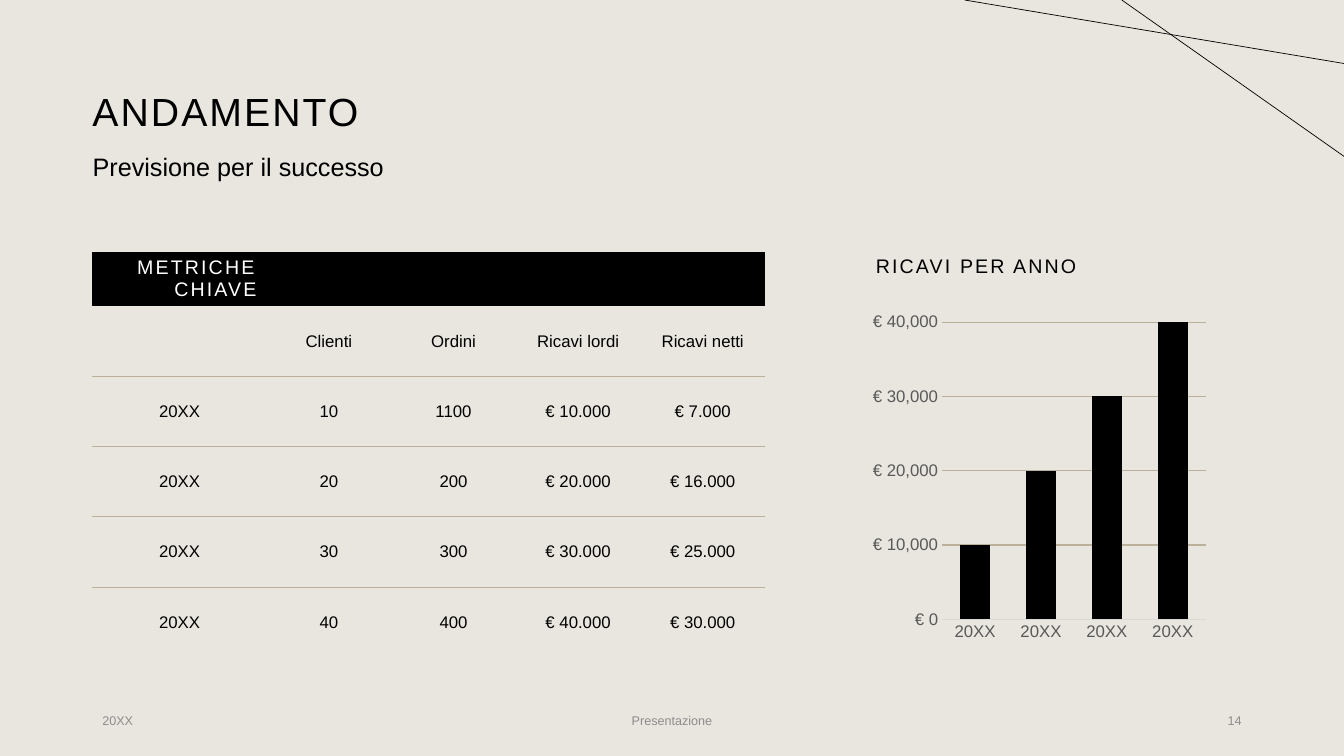
from lxml.etree import SubElement
from pptx import Presentation
from pptx.chart.data import CategoryChartData
from pptx.dml.color import RGBColor
from pptx.enum.chart import XL_CHART_TYPE as ChartType, XL_TICK_MARK as TickMark
from pptx.enum.shapes import MSO_CONNECTOR as Connector
from pptx.enum.text import MSO_ANCHOR as Anchor, MSO_AUTO_SIZE as AutoSize, PP_ALIGN as Align
from pptx.oxml.ns import qn
from pptx.util import Cm, Pt

BACKGROUND = RGBColor(0xE9, 0xE6, 0xDF)
BLACK = RGBColor(0x00, 0x00, 0x00)
WHITE = RGBColor(0xFF, 0xFF, 0xFF)
SAND = RGBColor(0xBB, 0xB1, 0x9B)
FOOTER_GREY = RGBColor(0x8C, 0x8C, 0x8C)
LABEL_GREY = RGBColor(0x59, 0x59, 0x59)
AXIS_GREY = RGBColor(0xD9, 0xD9, 0xD9)

FONT = "Arial"
PLAIN_TABLE = "{2D5ABB26-0587-4C30-8999-92F81FD0307C}"
COLUMN_WIDTHS = [4.39, 3.14, 3.14, 3.14, 3.14]
ROW_HEIGHTS = [1.35] + [1.77] * 5
METRICS = [
    ["METRICHE CHIAVE", "", "", "", ""],
    ["", "Clienti", "Ordini", "Ricavi lordi", "Ricavi netti"],
    ["20XX", "10", "1100", "€ 10.000", "€ 7.000"],
    ["20XX", "20", "200", "€ 20.000", "€ 16.000"],
    ["20XX", "30", "300", "€ 30.000", "€ 25.000"],
    ["20XX", "40", "400", "€ 40.000", "€ 30.000"],
]
REVENUES = [10000, 20000, 30000, 40000]


def set_all(target, values):
    for name, value in values.items():
        setattr(target, name, value)


def style_font(font, size, color):
    set_all(font, {"name": FONT, "size": Pt(size), "bold": False})
    font.color.rgb = color


def write(frame, text, size, color, align=Align.LEFT, tracking=0, **spacing):
    para = frame.paragraphs[0]
    set_all(para, {"alignment": align, **spacing})
    span = para.add_run()
    span.text = text
    style_font(span.font, size, color)
    if tracking:
        span.font._element.set("spc", str(tracking))


def place(shape, left, top, width, height):
    set_all(shape, {"left": Cm(left), "top": Cm(top), "width": Cm(width), "height": Cm(height)})


def fill_placeholder(shape, bounds, text, size, tracking=0, anchor=Anchor.TOP, **format_values):
    place(shape, *bounds)
    frame = shape.text_frame
    set_all(frame, {"word_wrap": True, "auto_size": AutoSize.NONE, "vertical_anchor": anchor})
    set_all(frame, format_values)
    write(frame, text, size, BLACK, tracking=tracking, line_spacing=0.9)


def add_footer(page, left, width, text, align):
    box = page.shapes.add_textbox(Cm(left), Cm(17.65), Cm(width), Cm(1.02))
    set_all(box.text_frame, {"word_wrap": True, "vertical_anchor": Anchor.MIDDLE})
    write(box.text_frame, text, 9, FOOTER_GREY, align)


def add_line(page, *ends):
    line = page.shapes.add_connector(Connector.STRAIGHT, *map(Cm, ends))
    set_all(line.line, {"width": Pt(0.5)})
    line.line.color.rgb = BLACK
    SubElement(line._element.spPr, qn("a:effectLst"))


def underline_cell(cell):
    properties = cell._tc.get_or_add_tcPr()
    border = SubElement(properties, qn("a:lnB"), w=str(Pt(1)))
    fill = SubElement(border, qn("a:solidFill"))
    SubElement(fill, qn("a:srgbClr"), val=str(SAND))


def add_metrics(page):
    height = sum(ROW_HEIGHTS)
    frame = page.shapes.add_table(
        len(METRICS), len(COLUMN_WIDTHS), Cm(2.33), Cm(6.35), Cm(sum(COLUMN_WIDTHS)), Cm(height)
    )
    table = frame.table
    set_all(table, {"first_row": False, "horz_banding": False})
    table._tbl.tblPr.find(qn("a:tableStyleId")).text = PLAIN_TABLE
    for column, width in zip(table.columns, COLUMN_WIDTHS):
        column.width = Cm(width)
    for index, (row, row_height, texts) in enumerate(zip(table.rows, ROW_HEIGHTS, METRICS)):
        row.height = Cm(row_height)
        for cell, text in zip(row.cells, texts):
            cell.vertical_anchor = Anchor.MIDDLE
            if 0 < index < len(METRICS) - 1:
                underline_cell(cell)
            if index == 0:
                cell.fill.solid()
                cell.fill.fore_color.rgb = BLACK
            else:
                cell.fill.background()
            if text and index == 0:
                write(cell.text_frame, text, 14, WHITE, Align.RIGHT, 150)
            elif text:
                write(cell.text_frame, text, 12, BLACK, Align.CENTER)


def style_axis(axis):
    set_all(axis, {"major_tick_mark": TickMark.NONE, "minor_tick_mark": TickMark.NONE})
    style_font(axis.tick_labels.font, 12, LABEL_GREY)


def add_revenue_chart(page):
    data = CategoryChartData()
    data.categories = ["20XX"] * len(REVENUES)
    data.add_series("Series 1", REVENUES)
    chart = page.shapes.add_chart(
        ChartType.COLUMN_CLUSTERED, Cm(21.82), Cm(7.72), Cm(8.74), Cm(8.61), data
    ).chart
    set_all(chart, {"has_legend": False, "has_title": False})
    style_font(chart.font, 10, BLACK)

    plot = chart.plots[0]
    set_all(plot, {"gap_width": 118, "overlap": -3, "vary_by_categories": False})
    bars = plot.series[0].format.fill
    bars.solid()
    bars.fore_color.rgb = BLACK

    years, amounts = chart.category_axis, chart.value_axis
    style_axis(years)
    years.format.line.color.rgb = AXIS_GREY
    years.format.line.width = Pt(0.75)

    style_axis(amounts)
    set_all(amounts, {"minimum_scale": 0, "maximum_scale": 40000, "major_unit": 10000})
    set_all(amounts.tick_labels, {"number_format": '"€"\\ #,##0', "number_format_is_linked": False})
    amounts.format.line.fill.background()
    grid = amounts.major_gridlines.format.line
    grid.color.rgb = SAND
    grid.width = Pt(0.75)


def main():
    deck = Presentation()
    set_all(deck, {"slide_width": Cm(33.87), "slide_height": Cm(19.05)})
    page = deck.slides.add_slide(deck.slide_layouts.get_by_name("Comparison"))
    page.background.fill.solid()
    page.background.fill.fore_color.rgb = BACKGROUND

    title, subtitle, table_slot, chart_heading, chart_slot = page.placeholders
    for slot in (table_slot, chart_slot):
        slot._element.getparent().remove(slot._element)
    fill_placeholder(title, (2.33, 1.02, 29.21, 3.68), "ANDAMENTO", 28, 150, Anchor.MIDDLE, margin_left=0)
    fill_placeholder(subtitle, (2.08, 3.78, 18.8, 1.37), "Previsione per il successo", 18)
    fill_placeholder(chart_heading, (21.82, 6.35, 8.74, 0.86), "RICAVI PER ANNO", 14, 150)

    add_metrics(page)
    add_revenue_chart(page)
    add_footer(page, 2.33, 7.62, "20XX", Align.LEFT)
    add_footer(page, 11.22, 11.43, "Presentazione", Align.CENTER)
    add_footer(page, 23.92, 7.62, "14", Align.RIGHT)
    add_line(page, 28.27, 0, 33.87, 3.94)
    add_line(page, 24.31, 0, 33.87, 1.6)
    deck.save("out.pptx")


if __name__ == "__main__":
    main()
